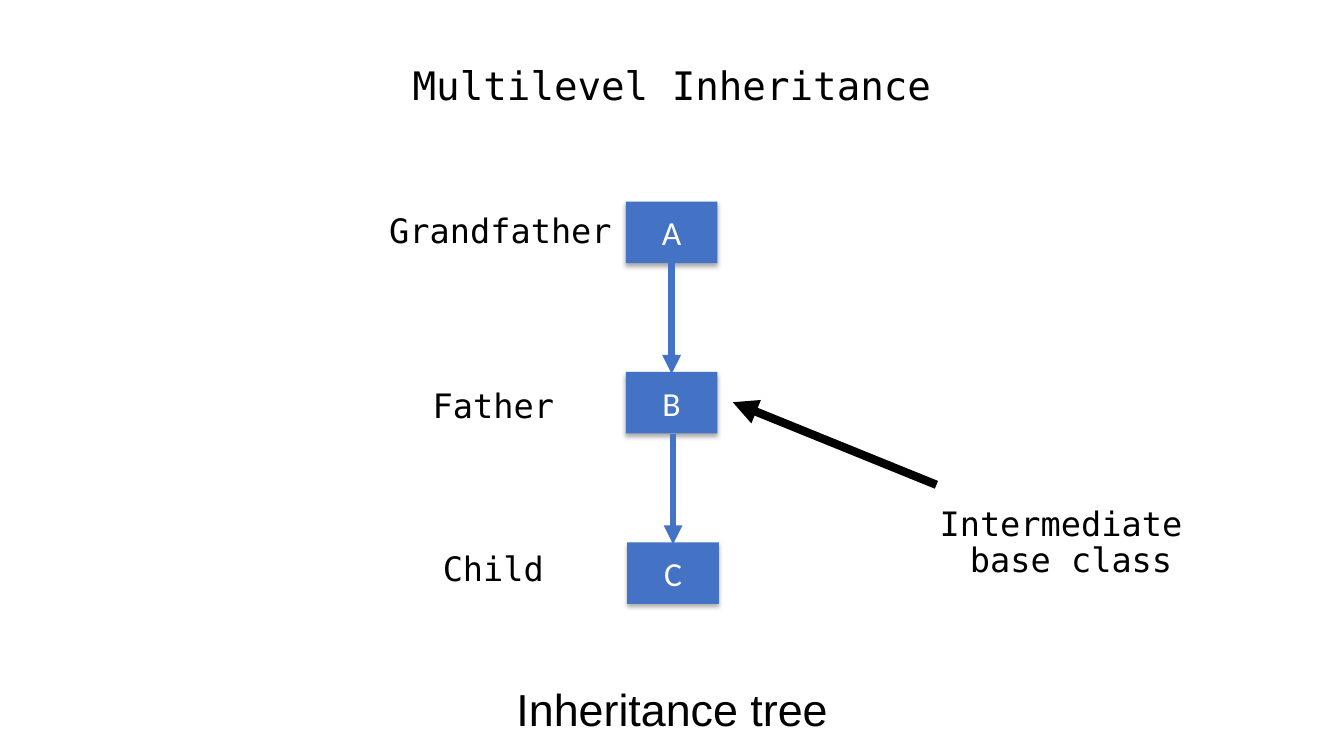
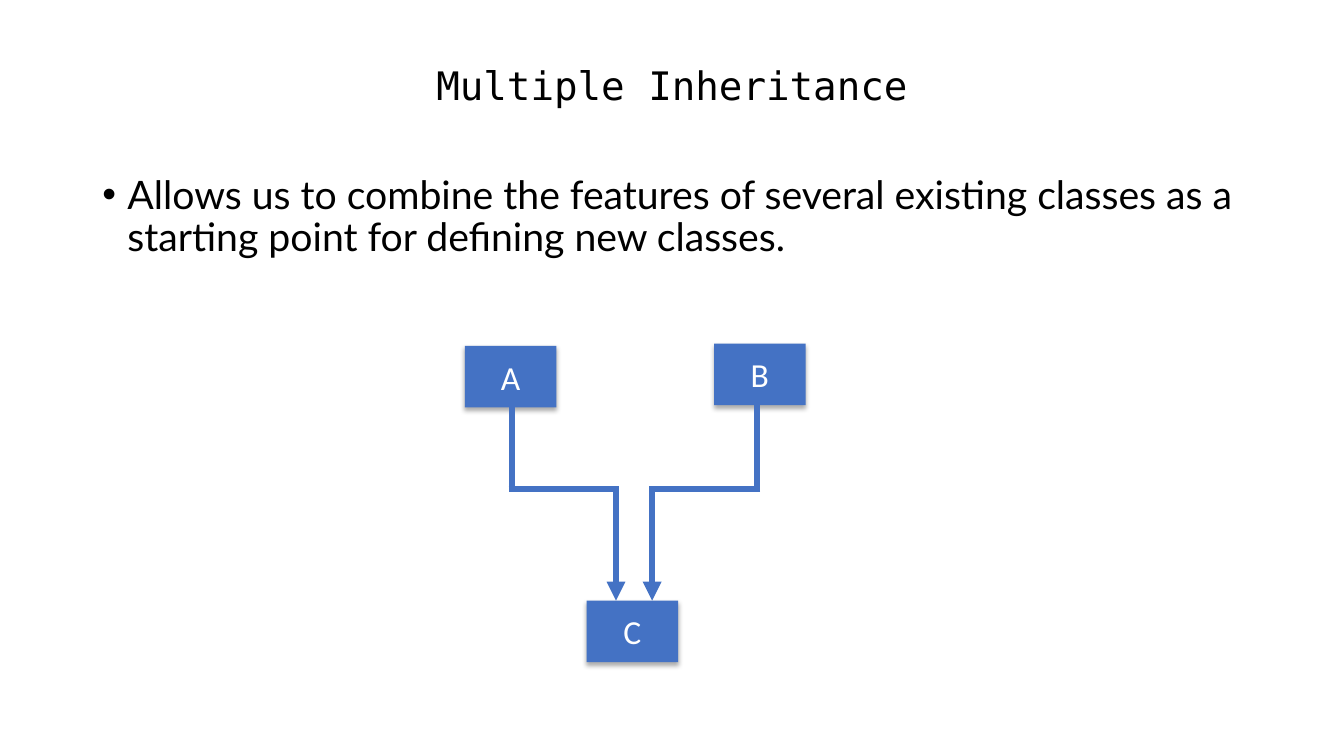
from dataclasses import dataclass

from lxml.etree import SubElement
from pptx import Presentation
from pptx.dml.color import RGBColor
from pptx.enum.shapes import MSO_CONNECTOR, MSO_SHAPE
from pptx.enum.text import MSO_ANCHOR, PP_ALIGN
from pptx.oxml.ns import qn
from pptx.util import Pt


@dataclass(frozen=True)
class Theme:
    blue: str = "4472C4"
    black: str = "000000"
    white: str = "FFFFFF"
    mono: str = "DejaVu Sans Mono"
    node_font: str = "Calibri"
    body_font: str = "Lato"
    caption_font: str = "Arial"
    title_size: int = 28
    body_size: int = 28
    label_size: int = 24
    caption_size: int = 32
    tree_line: float = 4.5
    pointer_line: float = 6
    spacing: float = 0.9


THEME = Theme()
TITLE_AREA = (66, 29, 828, 67.5)
NODE_WIDTH, NODE_HEIGHT = 65.5, 44

MULTILEVEL = {
    "title": "Multilevel Inheritance",
    "nodes": [("A", 447), ("B", 447), ("C", 448)],
    "first_top": 144,
    "step": 121.7,
    "labels": [
        ("Grandfather", 251.3, 132.5),
        ("Father", 246.2, 257.8),
        ("Child", 246.2, 374.4),
    ],
    "label_size": (212.4, 67),
    "note": ["Intermediate ", "base class"],
    "note_area": (596.2, 345.6, 337.7, 85),
    "pointer": ((668.9, 346.3), (523.4, 287.3)),
    "caption": "Inheritance tree",
    "caption_area": (272.9, 465.8, 414.7, 85),
}

MULTIPLE = {
    "title": "Multiple Inheritance",
    "body": "Allows us to combine the features of several existing classes "
            "as a starting point for defining new classes.",
    "body_area": (66, 121.7, 828, 365),
    "parents": [("A", 332, 247, 365.5, 440), ("B", 510, 245.5, 540.7, 465.8)],
    "child": ("C", 419, 429),
    "bend": 349.2,
}


def write_text(shape, text, font=THEME.mono, size=THEME.label_size, color=THEME.black,
               align=PP_ALIGN.CENTER, anchor=MSO_ANCHOR.MIDDLE, spacing=THEME.spacing,
               before=0, bullet=None, indent=0):
    frame = shape.text_frame
    frame.word_wrap = True
    frame.vertical_anchor = anchor
    lines = [text] if isinstance(text, str) else text
    for index, line in enumerate(lines):
        paragraph = frame.add_paragraph() if index else frame.paragraphs[0]
        paragraph.alignment = align
        paragraph.line_spacing = spacing
        paragraph.space_before = Pt(before)
        run = paragraph.add_run()
        run.text = line
        run.font.name = font
        run.font.size = Pt(size)
        run.font.color.rgb = RGBColor.from_string(color)
        if bullet:
            properties = paragraph._p.get_or_add_pPr()
            properties.set("marL", str(Pt(indent)))
            properties.set("indent", str(-Pt(indent)))
            SubElement(properties, qn("a:buFont")).set("typeface", THEME.caption_font)
            SubElement(properties, qn("a:buChar")).set("char", bullet)


def add_text(slide, text, area, **text_format):
    write_text(slide.shapes.add_textbox(*map(Pt, area)), text, **text_format)


def add_node(slide, name, left, top):
    area = (left, top, NODE_WIDTH, NODE_HEIGHT)
    shape = slide.shapes.add_shape(MSO_SHAPE.RECTANGLE, *map(Pt, area))
    shape.fill.solid()
    shape.fill.fore_color.rgb = RGBColor.from_string(THEME.blue)
    shape.line.fill.background()
    shape.shadow.inherit = False
    effects = shape._element.spPr.find(qn("a:effectLst"))
    shadow = SubElement(effects, qn("a:outerShdw"), blurRad=str(Pt(3.5)),
                        dist=str(Pt(2.2)), dir="5400000", algn="ctr", rotWithShape="0")
    color = SubElement(shadow, qn("a:srgbClr"), val=THEME.black)
    SubElement(color, qn("a:alpha"), val="32000")
    write_text(shape, name, font=THEME.node_font, color=THEME.white, spacing=1.0)


def add_line(slide, start, end, color=THEME.blue, width=THEME.tree_line, arrow=False):
    connector = slide.shapes.add_connector(MSO_CONNECTOR.STRAIGHT, *map(Pt, (*start, *end)))
    connector.line.color.rgb = RGBColor.from_string(color)
    connector.line.width = Pt(width)
    if arrow:
        SubElement(connector.line._get_or_add_ln(), qn("a:tailEnd"), type="triangle")
    SubElement(connector._element.spPr, qn("a:effectLst"))


def add_titled_slide(presentation, title):
    slide = presentation.slides.add_slide(presentation.slide_layouts[6])
    add_text(slide, title, TITLE_AREA, size=THEME.title_size)
    return slide


def build_multilevel(presentation, content):
    slide = add_titled_slide(presentation, content["title"])
    for level, (name, left) in enumerate(content["nodes"]):
        top = content["first_top"] + level * content["step"]
        add_node(slide, name, left, top)
        if level:
            center = left + NODE_WIDTH / 2
            add_line(slide, (center, top - content["step"] + NODE_HEIGHT),
                     (center, top + 1.4), arrow=True)
    add_line(slide, *content["pointer"], color=THEME.black,
             width=THEME.pointer_line, arrow=True)
    add_text(slide, content["note"], content["note_area"])
    for label, left, top in content["labels"]:
        add_text(slide, label, (left, top, *content["label_size"]))
    add_text(slide, content["caption"], content["caption_area"],
             font=THEME.caption_font, size=THEME.caption_size)


def build_multiple(presentation, content):
    slide = add_titled_slide(presentation, content["title"])
    add_text(slide, content["body"], content["body_area"], font=THEME.body_font,
             size=THEME.body_size, align=PP_ALIGN.LEFT, anchor=MSO_ANCHOR.TOP,
             before=10, bullet="•", indent=18)
    bend = content["bend"]
    child_top = content["child"][2]
    add_node(slide, *content["child"])
    for name, left, top, exit_x, entry_x in content["parents"]:
        add_node(slide, name, left, top)
        overhang = THEME.tree_line / 2 if exit_x < entry_x else -THEME.tree_line / 2
        add_line(slide, (exit_x, top + NODE_HEIGHT), (exit_x, bend))
        add_line(slide, (exit_x - overhang, bend), (entry_x + overhang, bend))
        add_line(slide, (entry_x, bend), (entry_x, child_top), arrow=True)


def main():
    presentation = Presentation()
    presentation.slide_width, presentation.slide_height = Pt(960), Pt(540)
    build_multilevel(presentation, MULTILEVEL)
    build_multiple(presentation, MULTIPLE)
    presentation.save("out.pptx")


if __name__ == "__main__":
    main()
